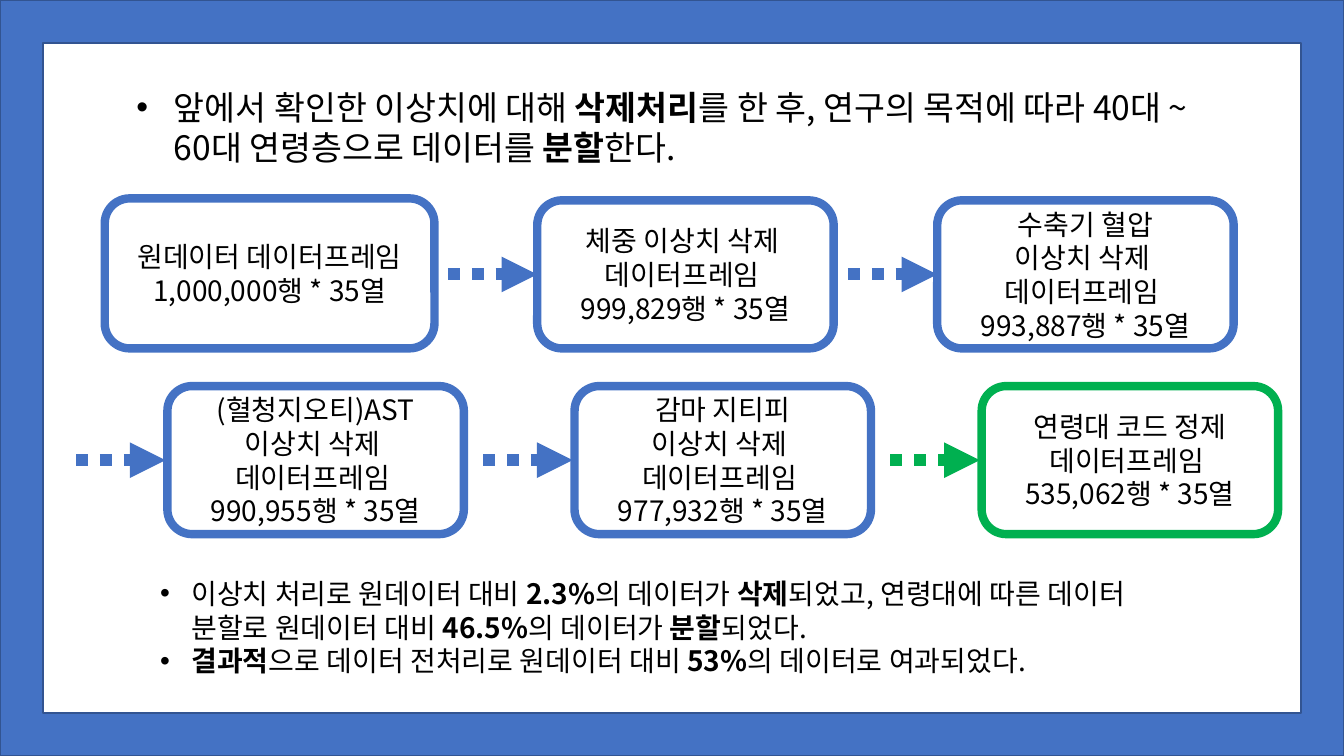
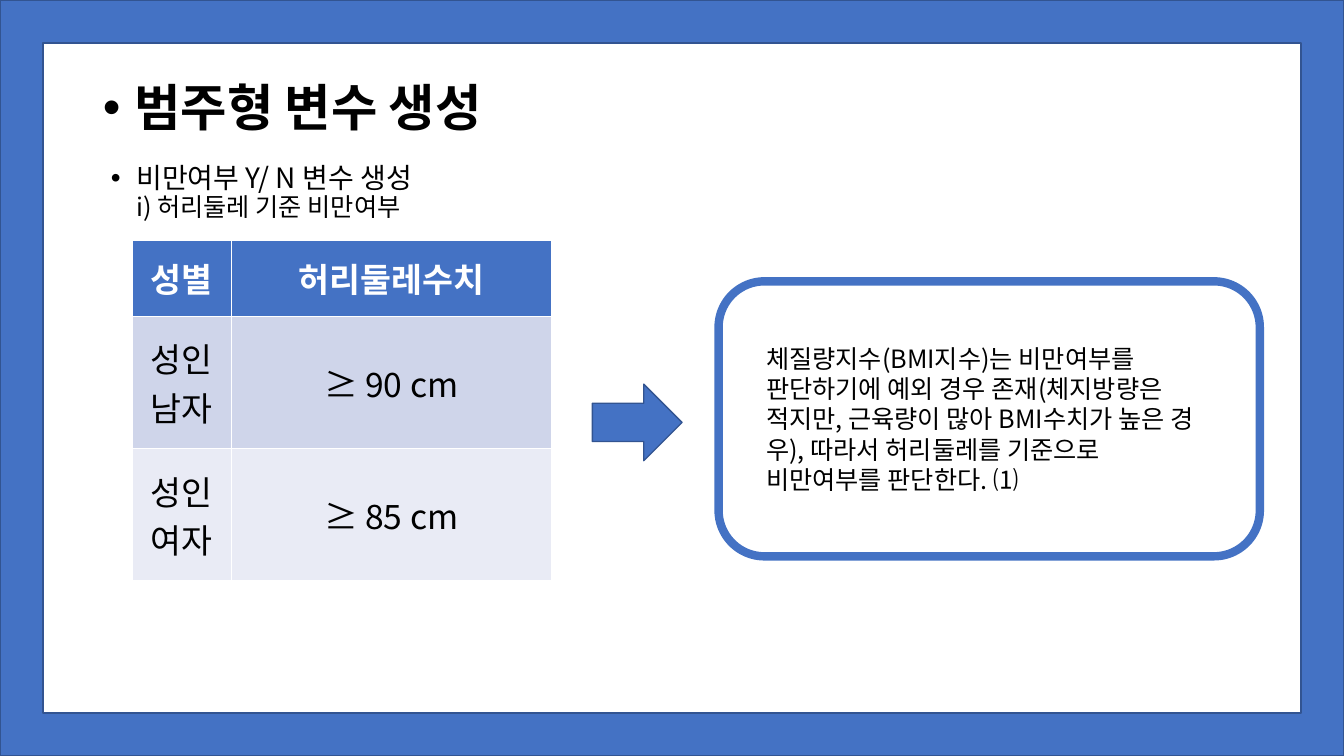
from lxml import etree
from pptx import Presentation
from pptx import util as u
from pptx.dml.color import RGBColor
from pptx.enum import dml, shapes, text
from pptx.oxml import ns

Cm, Pt = u.Cm, u.Pt
FONT = "Noto Sans CJK KR"
COLORS = {"blue": "4472C4", "edge": "325491", "green": "00B050", "black": "000000",
          "white": "FFFFFF", "band": "CFD5EA", "pale": "E9EBF5"}
WIDTH, HEIGHT = 33.87, 19.05


def color(name):
    return RGBColor.from_string(COLORS[name])


def place(item, left, top, width, height):
    item.left, item.top, item.width, item.height = Cm(left), Cm(top), Cm(width), Cm(height)


def style(para, size, name="black", bold=False, align=text.PP_ALIGN.LEFT):
    para.alignment = align
    font = para.font
    font.name, font.size, font.bold = FONT, Pt(size), bold
    font.color.rgb = color(name)
    defaults = para._p.pPr.find(ns.qn("a:defRPr"))
    etree.SubElement(defaults, ns.qn("a:ea")).set("typeface", FONT)


def bullet(para, indent):
    props = para._p.get_or_add_pPr()
    props.set("marL", str(Cm(indent)))
    props.set("indent", str(-Cm(indent)))
    for tag, key, value in (("a:buFont", "typeface", "Arial"), ("a:buChar", "char", "•")):
        mark = etree.Element(ns.qn(tag))
        mark.set(key, value)
        props.insert_element_before(mark, "a:tabLst", "a:defRPr", "a:extLst")


def write_spans(para, words):
    for number, part in enumerate(words.split("**")):
        if part:
            span = para.add_run()
            span.text = part
            if number % 2:
                span.font.bold = True


def fill_list(holder, box, items, size, indent, bold=False):
    place(holder, *box)
    frame = holder.text_frame
    frame.word_wrap = True
    frame.auto_size = text.MSO_AUTO_SIZE.NONE
    frame.vertical_anchor = text.MSO_ANCHOR.TOP
    for number, words in enumerate(items):
        para = frame.add_paragraph() if number else frame.paragraphs[0]
        write_spans(para, words)
        style(para, size, bold=bold)
        para.space_before = Pt(0)
        para.line_spacing = 1.0
        bullet(para, indent)
    return frame


def add_solid(slide, kind, box):
    shape = slide.shapes.add_shape(kind, *map(Cm, box))
    shape.shadow.inherit = False
    shape.fill.solid()
    shape.fill.fore_color.rgb = color("blue")
    shape.line.color.rgb = color("edge")
    shape.line.width = Pt(1)
    return shape


def add_page(deck, layout):
    slide = deck.slides.add_slide(deck.slide_layouts[layout])
    border = add_solid(slide, shapes.MSO_SHAPE.FRAME, (0, 0, WIDTH, HEIGHT))
    border.adjustments[0] = 0.057
    return slide


def add_card(slide, box, words, size=20, tone="blue", align=text.PP_ALIGN.CENTER):
    card = slide.shapes.add_shape(shapes.MSO_SHAPE.ROUNDED_RECTANGLE, *map(Cm, box))
    card.shadow.inherit = False
    card.fill.background()
    card.line.color.rgb = color(tone)
    card.line.width = Pt(6)
    para = card.text_frame.paragraphs[0]
    para.text = words
    style(para, size, align=align)
    return card


def add_dotted_arrow(slide, start, end, y, tone):
    arrow = slide.shapes.add_connector(
        shapes.MSO_CONNECTOR.STRAIGHT, Cm(start), Cm(y), Cm(end), Cm(y))
    arrow.line.color.rgb = color(tone)
    arrow.line.width = Pt(8.5)
    arrow.line.dash_style = dml.MSO_LINE.ROUND_DOT
    head = etree.SubElement(arrow.line._get_or_add_ln(), ns.qn("a:tailEnd"))
    head.set("type", "triangle")
    etree.SubElement(arrow._element.spPr, ns.qn("a:effectLst"))


def add_steps(slide, left, top, pitch, gap, steps):
    width, height, reach = 7.47, 3.73, 2.25
    for number, (words, tone) in enumerate(steps):
        x = left + number * pitch
        add_card(slide, (x, top, width, height), words, tone=tone)
        add_dotted_arrow(slide, x - gap - reach, x - gap, top + height / 2, tone)


def add_waist_table(slide, left, top):
    rows = [("성별", "허리둘레수치"), ("성인 남자", "≥ 90 cm"), ("성인 여자", "≥ 85 cm")]
    fills, widths, heights = ("blue", "band", "pale"), (2.5, 8.06), (1.93, 3.33, 3.33)
    table = slide.shapes.add_table(
        len(rows), len(widths), Cm(left), Cm(top), Cm(sum(widths)), Cm(sum(heights))).table
    for column, width in zip(table.columns, widths):
        column.width = Cm(width)
    for r, values in enumerate(rows):
        table.rows[r].height = Cm(heights[r])
        for c, value in enumerate(values):
            cell = table.cell(r, c)
            cell.fill.solid()
            cell.fill.fore_color.rgb = color(fills[r])
            cell.vertical_anchor = text.MSO_ANCHOR.MIDDLE
            para = cell.text_frame.paragraphs[0]
            para.text = value
            style(para, 24, "black" if r else "white", r == 0, text.PP_ALIGN.CENTER)


def build_cleaning_page(deck):
    slide = add_page(deck, 3)
    title = slide.shapes.title._element
    title.getparent().remove(title)
    intro, result = slide.placeholders
    fill_list(intro, (3.18, 2.06, 27.51, 2.31), [
        "앞에서 확인한 이상치에 대해 **삭제처리**를 한 후, 연구의 목적에 따라 "
        "40대 ~ 60대 연령층으로 데이터를 **분할**한다."], 24, 0.95)
    add_card(slide, (2.64, 5, 8.31, 3.78), "원데이터 데이터프레임 1,000,000행 * 35열")
    add_steps(slide, 13.54, 5.05, 10.08, 0, [
        ("체중 이상치 삭제 \v데이터프레임 \v999,829행 * 35열", "blue"),
        ("수축기 혈압\v이상치 삭제 \v데이터프레임 \v993,887행 * 35열", "blue")])
    add_steps(slide, 4.22, 9.73, 10.26, 0.05, [
        ("(혈청지오티)AST\v이상치 삭제 \v데이터프레임 \v990,955행 * 35열", "blue"),
        ("감마 지티피\v이상치 삭제 \v데이터프레임 \v977,932행 * 35열", "blue"),
        ("연령대 코드 정제\v데이터프레임 \v535,062행 * 35열", "green")])
    fill_list(result, (3.78, 14.4, 26.29, 2.82), [
        "이상치 처리로 원데이터 대비 **2.3%**의 데이터가 **삭제**되었고, 연령대에 따른 데이터 "
        "분할로 원데이터 대비 **46.5%**의 데이터가 **분할**되었다.",
        "**결과적**으로 데이터 전처리로 원데이터 대비 **53%**의 데이터로 여과되었다."], 20, 0.79)


def build_variable_page(deck):
    slide = add_page(deck, 1)
    fill_list(slide.shapes.title, (2.34, 1.8, 19.08, 1.8), ["범주형 변수 생성"], 36, 0.79, True)
    frame = fill_list(slide.placeholders[1], (2.54, 4.01, 29.21, 9.6),
                      ["비만여부 Y/ N 변수 생성"], 20, 0.64)
    para = frame.paragraphs[0]
    para.line_spacing = 0.9
    para.space_before = Pt(10)
    para.add_line_break()
    span = para.add_run()
    span.text = "i) 허리둘레 기준 비만여부"
    span.font.size = Pt(18)
    add_waist_table(slide, 3.33, 6.05)
    add_solid(slide, shapes.MSO_SHAPE.RIGHT_ARROW, (14.93, 9.68, 2.26, 1.93))
    note = add_card(
        slide, (18.11, 7.09, 13.64, 6.93),
        "체질량지수(BMI지수)는 비만여부를 판단하기에 예외 경우 존재(체지방량은 적지만, "
        "근육량이 많아 BMI수치가 높은 경우), 따라서 허리둘레를 기준으로 비만여부를 판단한다. ⑴",
        18, align=text.PP_ALIGN.LEFT)
    note.text_frame.margin_left, note.text_frame.margin_right = Cm(0.86), Cm(0.7)


def main():
    deck = Presentation()
    deck.slide_width, deck.slide_height = Cm(WIDTH), Cm(HEIGHT)
    build_cleaning_page(deck)
    build_variable_page(deck)
    deck.save("out.pptx")


if __name__ == "__main__":
    main()
